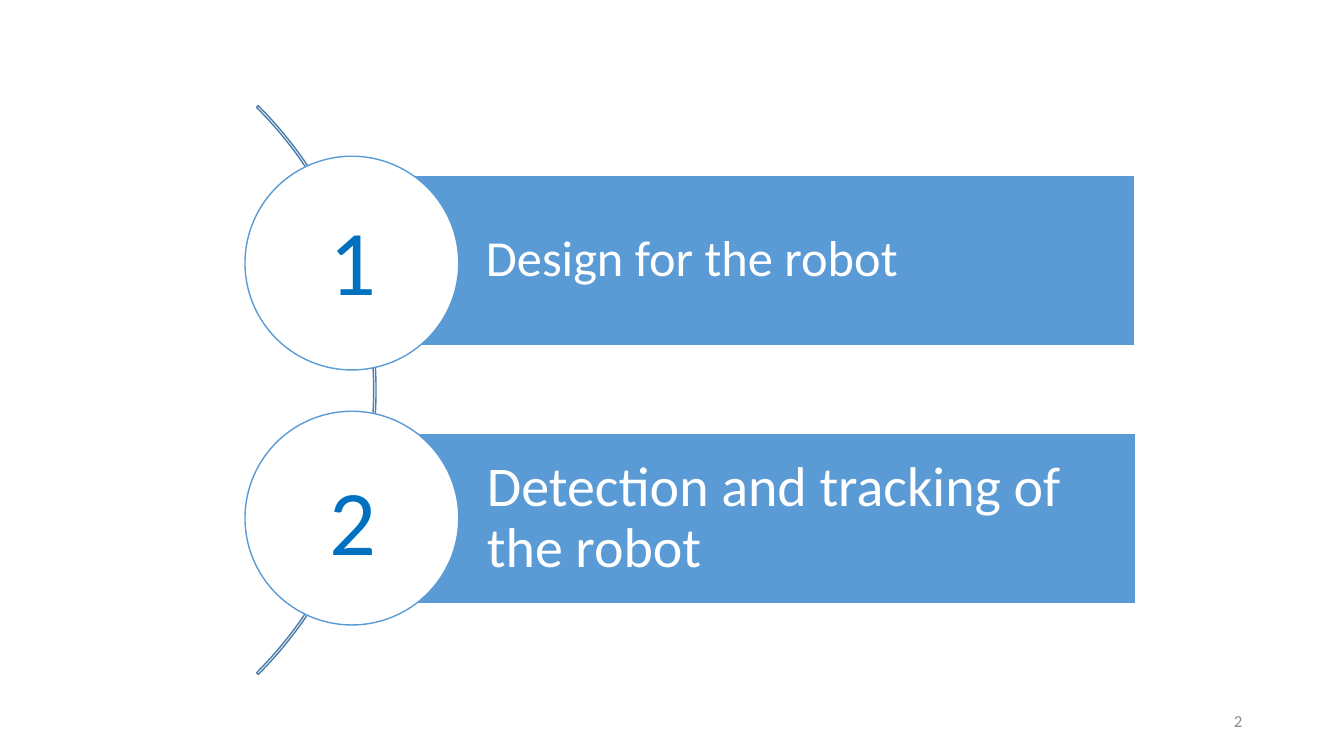
from dataclasses import dataclass

import pptx
import pptx.dml.color
import pptx.enum.shapes
import pptx.enum.text
import pptx.util

PX = 9144  # EMU per px, 100 px to the inch
FONT = "Calibri"
COLORS = {
    "white": "FFFFFF",
    "bar": "5B9BD5",
    "arc": "497CAB",
    "digit": "0070C0",
    "page_number": "8C8C8C",
}
SHAPES = pptx.enum.shapes.MSO_SHAPE
ALIGN = pptx.enum.text.PP_ALIGN
ANCHOR = pptx.enum.text.MSO_ANCHOR


@dataclass(frozen=True)
class Box:
    left: int
    top: int
    width: int
    height: int

    def emu(self) -> tuple[int, int, int, int]:
        return self.left * PX, self.top * PX, self.width * PX, self.height * PX


@dataclass(frozen=True)
class Topic:
    number: str
    label: str
    size: int
    inset: int
    bar: Box
    circle: Box
    digit: Box


TOPICS = [
    Topic("1", "Design for the robot", 36, 10,
          Box(348, 174, 777, 169), Box(243, 155, 212, 212), Box(317, 197, 71, 121)),
    Topic("2", "Detection and tracking of the robot", 40, 11,
          Box(349, 430, 777, 169), Box(243, 408, 212, 212), Box(317, 455, 84, 121)),
]


def rgb(name: str) -> pptx.dml.color.RGBColor:
    return pptx.dml.color.RGBColor.from_string(COLORS[name])


def add_shape(page, kind, box: Box, fill: str | None, line: str):
    shape = page.shapes.add_shape(kind, *box.emu())
    shape.shadow.inherit = False
    if fill is None:
        shape.fill.background()
    else:
        shape.fill.solid()
        shape.fill.fore_color.rgb = rgb(fill)
    shape.line.color.rgb = rgb(line)
    shape.line.width = pptx.util.Pt(1)
    return shape


def write(shape, text: str, size: int, color: str, align=ALIGN.LEFT, anchor=ANCHOR.MIDDLE):
    frame = shape.text_frame
    frame.word_wrap = True
    frame.vertical_anchor = anchor
    para = frame.paragraphs[0]
    para.text = text
    para.alignment = align
    para.font.name = FONT
    para.font.size = pptx.util.Pt(size)
    para.font.color.rgb = rgb(color)
    return frame


def add_text(page, box: Box, text: str, size: int, color: str, align, anchor) -> None:
    write(page.shapes.add_textbox(*box.emu()), text, size, color, align, anchor)


def add_arc(page) -> None:
    arc = add_shape(page, SHAPES.BLOCK_ARC, Box(-425, -12, 798, 798), None, "arc")
    # Start angle 315°, end angle 45°, ring thickness
    for index, value in enumerate((189, 27, 0.003)):
        arc.adjustments[index] = value


def add_topic(page, topic: Topic) -> None:
    bar = add_shape(page, SHAPES.RECTANGLE, topic.bar, "bar", "white")
    frame = write(bar, topic.label, topic.size, "white")
    frame.paragraphs[0].line_spacing = 0.9
    frame.margin_left = 134 * PX
    frame.margin_top = frame.margin_right = frame.margin_bottom = topic.inset * PX
    add_shape(page, SHAPES.OVAL, topic.circle, "white", "bar")


def main() -> None:
    deck = pptx.Presentation()
    deck.slide_width, deck.slide_height = 1333 * PX, 750 * PX
    page = deck.slides.add_slide(deck.slide_layouts[6])

    # Curved list: arc behind, then bars and circles
    add_arc(page)
    for topic in TOPICS:
        add_topic(page, topic)

    # Digits in the circles
    for topic in TOPICS:
        add_text(page, topic.digit, topic.number, 66, "digit", ALIGN.LEFT, ANCHOR.TOP)

    # Page number
    add_text(page, Box(942, 695, 300, 40), "2", 12, "page_number", ALIGN.RIGHT, ANCHOR.MIDDLE)

    deck.save("out.pptx")


if __name__ == "__main__":
    main()
